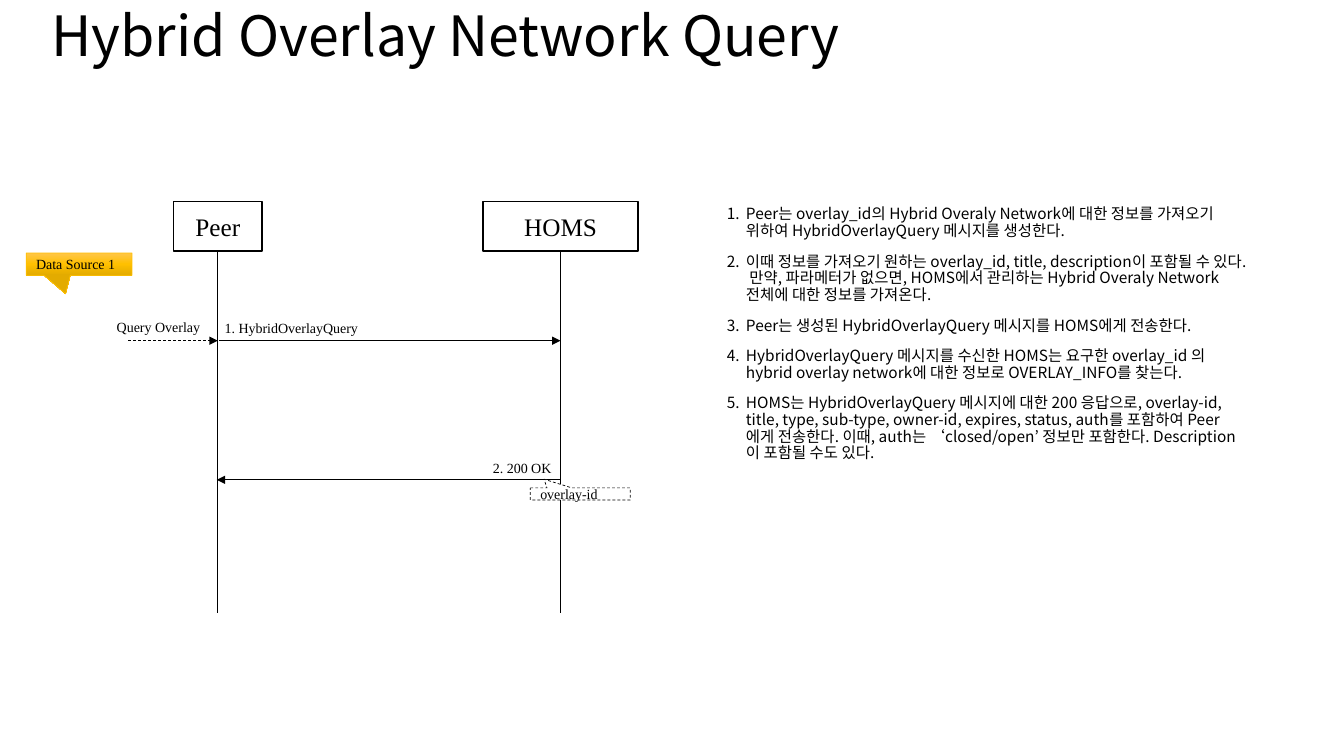
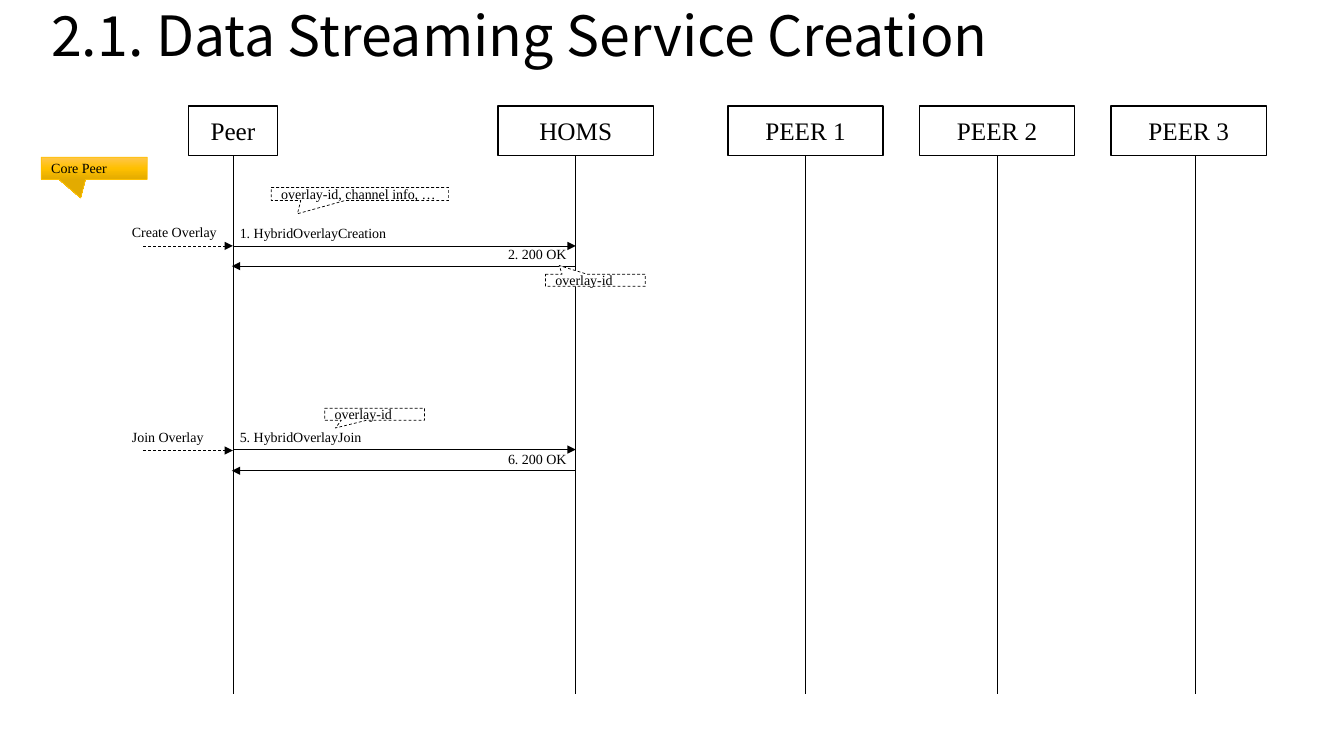
from copy import deepcopy
from dataclasses import dataclass

from pptx import Presentation
from pptx.dml.color import RGBColor
from pptx.enum.dml import MSO_LINE
from pptx.enum.shapes import MSO_CONNECTOR, MSO_SHAPE
from pptx.enum.text import MSO_ANCHOR, PP_ALIGN
from pptx.oxml.ns import qn
from pptx.oxml.xmlchemy import OxmlElement
from pptx.util import Inches, Pt

STRAIGHT = MSO_CONNECTOR.STRAIGHT
RECTANGLE = MSO_SHAPE.RECTANGLE
CALLOUT = MSO_SHAPE.RECTANGULAR_CALLOUT
DASH = MSO_LINE.DASH
TOP, MIDDLE = MSO_ANCHOR.TOP, MSO_ANCHOR.MIDDLE
LEFT, CENTER = PP_ALIGN.LEFT, PP_ALIGN.CENTER

COLORS = {
    "ink": "000000",
    "paper": "FFFFFF",
    "gold_light": "FFC64B",
    "gold": "FFC000",
    "gold_dark": "E3AB00",
}
GOLD_STOPS = ((0, "gold_light"), (0.5, "gold"), (1, "gold_dark"))
SANS = "Noto Sans CJK KR"
SERIF = "Times New Roman"
BOX_HEIGHT = 0.49
PEER_WIDTH = 0.88
NODE_WIDTH = 1.54
BOTTOM_SITE = 2


@dataclass
class Participant:
    label: str
    left: float
    width: float = NODE_WIDTH
    lifeline_shift: float = 0

    @property
    def center(self) -> float:
        return self.left + self.width / 2


@dataclass
class Message:
    kind: str
    label: str
    y: float


@dataclass
class Note:
    label: str
    left: float
    top: float
    tip: tuple[float, float]
    width: float = 0.99
    height: float = 0.12
    golden: bool = False


@dataclass
class Diagram:
    title: str
    top: float
    bottom: float
    participants: list[Participant]
    messages: list[Message]
    notes: list[Note]
    steps: tuple[str, ...] = ()


def color(name: str) -> RGBColor:
    return RGBColor.from_string(COLORS[name])


def add_run(paragraph, text: str, size: float, font: str) -> None:
    run = paragraph.add_run()
    run.text = text
    run.font.size = Pt(size)
    run.font.name = font
    run.font.color.rgb = color("ink")
    east_asian = OxmlElement("a:ea")
    east_asian.set("typeface", font)
    run.font._element.find(qn("a:latin")).addnext(east_asian)


def fill_text(shape, text: str, size: float, font: str, anchor, alignment=LEFT):
    frame = shape.text_frame
    frame.word_wrap = True
    frame.vertical_anchor = anchor
    paragraph = frame.paragraphs[0]
    paragraph.alignment = alignment
    add_run(paragraph, text, size, font)
    return paragraph


def add_title(slide, text: str) -> None:
    shape = slide.shapes.add_textbox(Inches(0.41), Inches(0.02), Inches(12.47), Inches(0.72))
    paragraph = fill_text(shape, text, 39.6, SANS, MIDDLE)
    paragraph.line_spacing = 0.9


def add_label(slide, text: str, left: float, top: float, width: float) -> None:
    shape = slide.shapes.add_textbox(Inches(left), Inches(top), Inches(width), Inches(0.27))
    fill_text(shape, text, 10, SERIF, TOP)


def add_line(slide, start: tuple[float, float], end: tuple[float, float],
             arrow: bool = False, dashed: bool = False):
    connector = slide.shapes.add_connector(STRAIGHT, *map(Inches, start + end))
    connector.line.color.rgb = color("ink")
    connector.line.width = Pt(0.5)
    if dashed:
        connector.line.dash_style = DASH
    if arrow:
        tail = OxmlElement("a:tailEnd")
        tail.set("type", "triangle")
        connector.line._get_or_add_ln().append(tail)
    connector._element.spPr.append(OxmlElement("a:effectLst"))
    return connector


def add_participant(slide, participant: Participant, top: float, bottom: float) -> None:
    box = slide.shapes.add_shape(RECTANGLE, Inches(participant.left), Inches(top),
                                 Inches(participant.width), Inches(BOX_HEIGHT))
    box.shadow.inherit = False
    box.fill.background()
    box.line.color.rgb = color("ink")
    box.line.width = Pt(1)
    fill_text(box, participant.label, 18, SERIF, MIDDLE, CENTER)
    x = participant.center + participant.lifeline_shift
    lifeline = add_line(slide, (x, top + BOX_HEIGHT), (x, bottom))
    if not participant.lifeline_shift:
        lifeline.begin_connect(box, BOTTOM_SITE)


def add_message(slide, message: Message, peer_x: float, homs_x: float) -> None:
    y = message.y
    if message.kind == "trigger":
        add_line(slide, (peer_x - 0.89, y), (peer_x, y), arrow=True, dashed=True)
        add_label(slide, message.label, peer_x - 1.1, y - 0.27, 1.34)
    elif message.kind == "request":
        add_line(slide, (peer_x + 0.01, y), (homs_x, y), arrow=True)
        add_label(slide, message.label, peer_x - 0.03, y - 0.26, 1.76)
    else:
        add_line(slide, (homs_x, y), (peer_x - 0.01, y), arrow=True)
        add_label(slide, message.label, homs_x - 0.77, y - 0.25, 0.79)


def fill_gold(shape) -> None:
    shape.fill.gradient()
    shape.fill.gradient_angle = 270
    stop_list = shape._element.spPr.find(qn("a:gradFill")).find(qn("a:gsLst"))
    stop_list.append(deepcopy(stop_list[-1]))
    for stop, (position, name) in zip(shape.fill.gradient_stops, GOLD_STOPS):
        stop.position = position
        stop.color.rgb = color(name)


def add_note(slide, note: Note) -> None:
    shape = slide.shapes.add_shape(CALLOUT, Inches(note.left), Inches(note.top),
                                   Inches(note.width), Inches(note.height))
    shape.shadow.inherit = False
    shape.adjustments[0], shape.adjustments[1] = note.tip
    shape.line.width = Pt(0.5)
    if note.golden:
        fill_gold(shape)
        shape.line.color.rgb = color("gold")
    else:
        shape.fill.solid()
        shape.fill.fore_color.rgb = color("paper")
        shape.line.color.rgb = color("ink")
        shape.line.dash_style = DASH
    fill_text(shape, note.label, 10, SERIF, MIDDLE)


def add_steps(slide, steps: tuple[str, ...]) -> None:
    shape = slide.shapes.add_textbox(Inches(7.11), Inches(2), Inches(5.31), Inches(4.76))
    frame = shape.text_frame
    frame.word_wrap = True
    for index, step in enumerate(steps):
        paragraph = frame.add_paragraph() if index else frame.paragraphs[0]
        paragraph.line_spacing = 0.9
        paragraph.space_before = Pt(10)
        properties = paragraph._element.get_or_add_pPr()
        properties.set("marL", str(Inches(0.19)))
        properties.set("indent", str(-Inches(0.19)))
        numbering = OxmlElement("a:buAutoNum")
        numbering.set("type", "arabicPeriod")
        properties.append(numbering)
        add_run(paragraph, step, 11, SANS)


def add_diagram(presentation, diagram: Diagram) -> None:
    slide = presentation.slides.add_slide(presentation.slide_layouts[6])
    add_title(slide, diagram.title)
    if diagram.steps:
        add_steps(slide, diagram.steps)
    for participant in diagram.participants:
        add_participant(slide, participant, diagram.top, diagram.bottom)
    peer, homs = diagram.participants[:2]
    for message in diagram.messages:
        add_message(slide, message, peer.center, homs.center)
    for note in diagram.notes:
        add_note(slide, note)


def role_note(label: str, left: float, top: float) -> Note:
    return Note(label, left, top, (-0.128, 1.342), 1.05, 0.22, golden=True)


DIAGRAMS = (
    Diagram(
        title="Hybrid Overlay Network Query",
        top=2,
        bottom=6.08,
        participants=[Participant("Peer", 1.72, PEER_WIDTH), Participant("HOMS", 4.79)],
        messages=[
            Message("trigger", "Query Overlay", 3.38),
            Message("request", "1. HybridOverlayQuery", 3.38),
            Message("reply", "2. 200 OK", 4.76),
        ],
        notes=[
            role_note("Data Source 1", 0.26, 2.51),
            Note("overlay-id", 5.26, 4.84, (-0.362, -1.216)),
        ],
        steps=(
            "Peer는 overlay_id의 Hybrid Overaly Network에 대한 정보를 가져오기 위하여 "
            "HybridOverlayQuery 메시지를 생성한다.",
            "이때 정보를 가져오기 원하는 overlay_id, title, description이 포함될 수 있다. "
            "만약, 파라메터가 없으면, HOMS에서 관리하는 Hybrid Overaly Network 전체에 대한 "
            "정보를 가져온다.",
            "Peer는 생성된 HybridOverlayQuery 메시지를 HOMS에게 전송한다.",
            "HybridOverlayQuery 메시지를 수신한 HOMS는 요구한 overlay_id 의 "
            "hybrid overlay network에 대한 정보로 OVERLAY_INFO를 찾는다.",
            "HOMS는 HybridOverlayQuery 메시지에 대한 200 응답으로, overlay-id, title, type, "
            "sub-type, owner-id, expires, status, auth를 포함하여 Peer에게 전송한다. "
            "이때, auth는 ‘closed/open’ 정보만 포함한다. Description이 포함될 수도 있다.",
        ),
    ),
    Diagram(
        title="2.1. Data Streaming Service Creation",
        top=1.05,
        bottom=6.89,
        participants=[
            Participant("Peer", 1.87, PEER_WIDTH),
            Participant("HOMS", 4.94),
            Participant("PEER 1", 7.22),
            Participant("PEER 2", 9.12),
            Participant("PEER 3", 11.02, lifeline_shift=0.07),
        ],
        messages=[
            Message("trigger", "Create Overlay", 2.44),
            Message("request", "1. HybridOverlayCreation", 2.44),
            Message("reply", "2. 200 OK", 2.64),
            Message("trigger", "Join Overlay", 4.47),
            Message("request", "5. HybridOverlayJoin", 4.46),
            Message("reply", "6. 200 OK", 4.67),
        ],
        notes=[
            role_note("Core Peer", 0.41, 1.56),
            Note("overlay-id", 5.41, 2.72, (-0.362, -1.216)),
            Note("overlay-id, channel info, …", 2.69, 1.86, (-0.352, 1.51), 1.76, 0.13),
            Note("overlay-id", 3.22, 4.05, (-0.392, 1.134)),
        ],
    ),
)


def main() -> None:
    presentation = Presentation()
    presentation.slide_width = Inches(13.33)
    presentation.slide_height = Inches(7.5)
    for diagram in DIAGRAMS:
        add_diagram(presentation, diagram)
    presentation.save("out.pptx")


if __name__ == "__main__":
    main()
